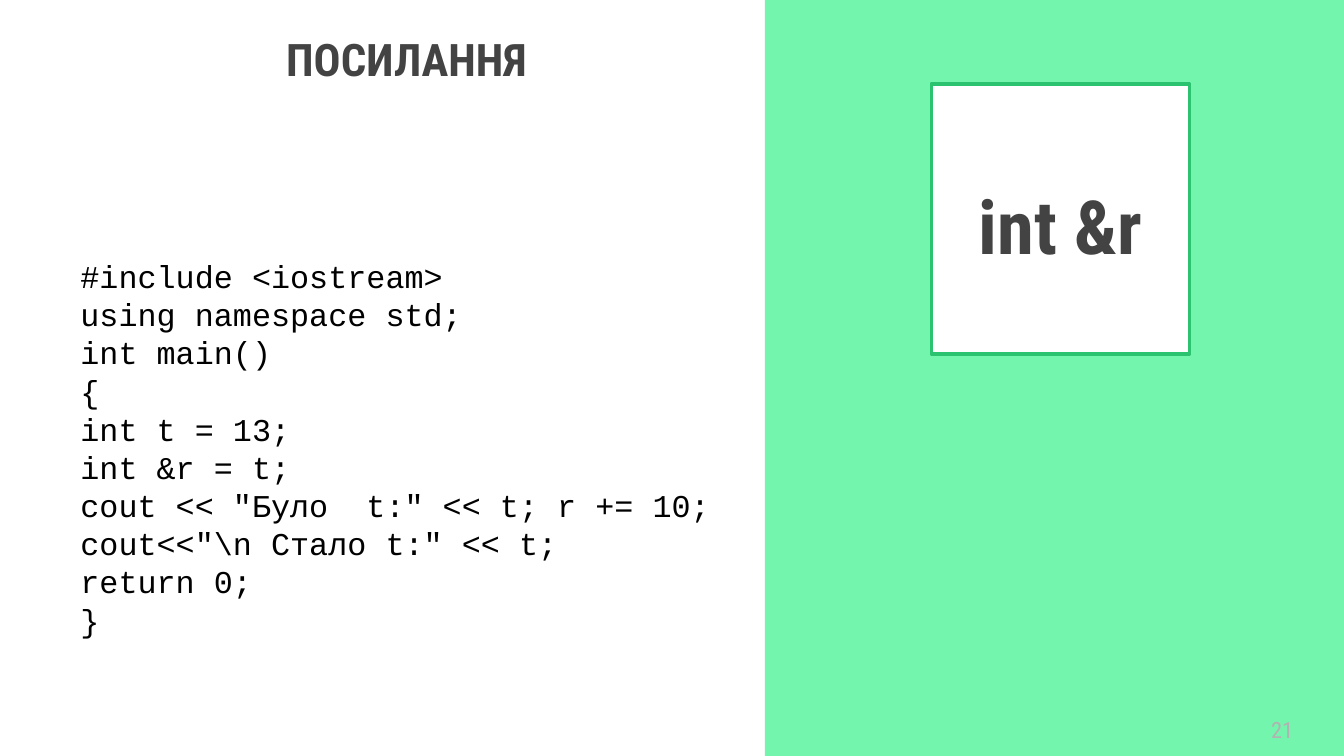
"""Build the slide on C++ references with a code listing and a green side panel."""
from dataclasses import dataclass
from typing import Optional

from pptx import Presentation
from pptx import util as u
from pptx.dml.color import RGBColor
from pptx.enum import shapes, text

WIDE = u.Inches(10)
HIGH = WIDE * 9 // 16
HUES = {"panel": "73F5AD", "edge": "2BC36F", "paper": "FFFFFF",
        "head": "434343", "code": "000000", "page": "B2B2B2"}
SANS, MONO = "Roboto Condensed", "Courier New"
CODE = r'''#include <iostream>
using namespace std;
int main()
{
int t = 13;
int &r = t;
cout << "Було  t:" << t; r += 10;
cout<<"\n Стало t:" << t;
return 0;
}'''


@dataclass
class Area:
    """Place on the slide, in percent of its width and height."""
    left: float
    top: float
    wide: float
    high: float

    def box(self) -> tuple[int, ...]:
        """Give the place in slide units."""
        pairs = ((self.left, WIDE), (self.top, HIGH), (self.wide, WIDE), (self.high, HIGH))
        return tuple(round(part * full / 100) for part, full in pairs)


@dataclass
class Label:
    """Words with their type style."""
    words: str
    size: float
    hue: str
    font: str = SANS
    bold: bool = False
    align: text.PP_ALIGN = text.PP_ALIGN.CENTER
    anchor: text.MSO_ANCHOR = text.MSO_ANCHOR.TOP
    inset: tuple[float, float] = (0.1, 0.1)
    pitch: Optional[float] = None


def tint(hue: str) -> RGBColor:
    """Look up a named colour."""
    return RGBColor.from_string(HUES[hue])


def write(shape, label: Label) -> None:
    """Set and format the words of a shape."""
    frame = shape.text_frame
    frame.text = label.words
    frame.word_wrap = True
    frame.vertical_anchor = label.anchor
    frame.margin_left = frame.margin_right = u.Inches(0.1)
    frame.margin_top, frame.margin_bottom = map(u.Inches, label.inset)
    for para in frame.paragraphs:
        para.alignment = label.align
        if label.pitch:
            para.line_spacing = u.Pt(label.pitch)
        for run in para.runs:
            run.font.name, run.font.size = label.font, u.Pt(label.size)
            run.font.bold = label.bold
            run.font.color.rgb = tint(label.hue)


def block(slide, area: Area, fill: str, edge: Optional[str] = None):
    """Draw a filled rectangle, outlined if an edge colour is given."""
    shape = slide.shapes.add_shape(shapes.MSO_SHAPE.RECTANGLE, *area.box())
    shape.shadow.inherit = False
    shape.fill.solid()
    shape.fill.fore_color.rgb = tint(fill)
    if edge:
        shape.line.color.rgb = tint(edge)
        shape.line.width = u.Pt(2)
    else:
        shape.line.fill.background()
    return shape


def note(slide, area: Area, label: Label) -> None:
    """Add a text box."""
    write(slide.shapes.add_textbox(*area.box()), label)


def main() -> None:
    """Compose and save the slide."""
    deck = Presentation()
    deck.slide_width, deck.slide_height = WIDE, HIGH
    slide = deck.slides.add_slide(deck.slide_layouts[6])

    block(slide, Area(56.9, 0, 43.1, 100), "panel")
    note(slide, Area(9, 2.4, 42.5, 23.5), Label("ПОСИЛАННЯ", 24, "head", bold=True))
    card = block(slide, Area(69.3, 11.1, 19.2, 35.7), "paper", "edge")
    write(card, Label("int &r", 40, "head", bold=True,
                      anchor=text.MSO_ANCHOR.MIDDLE, inset=(0.14, 0.05)))
    note(slide, Area(5, 32.2, 50.6, 35.7),
         Label(CODE, 17, "code", MONO, align=text.PP_ALIGN.LEFT, pitch=20.45))
    note(slide, Area(91.2, 93, 6, 7),
         Label("21", 12, "page", align=text.PP_ALIGN.RIGHT,
               anchor=text.MSO_ANCHOR.MIDDLE, inset=(0, 0)))
    deck.save("out.pptx")


if __name__ == "__main__":
    main()
